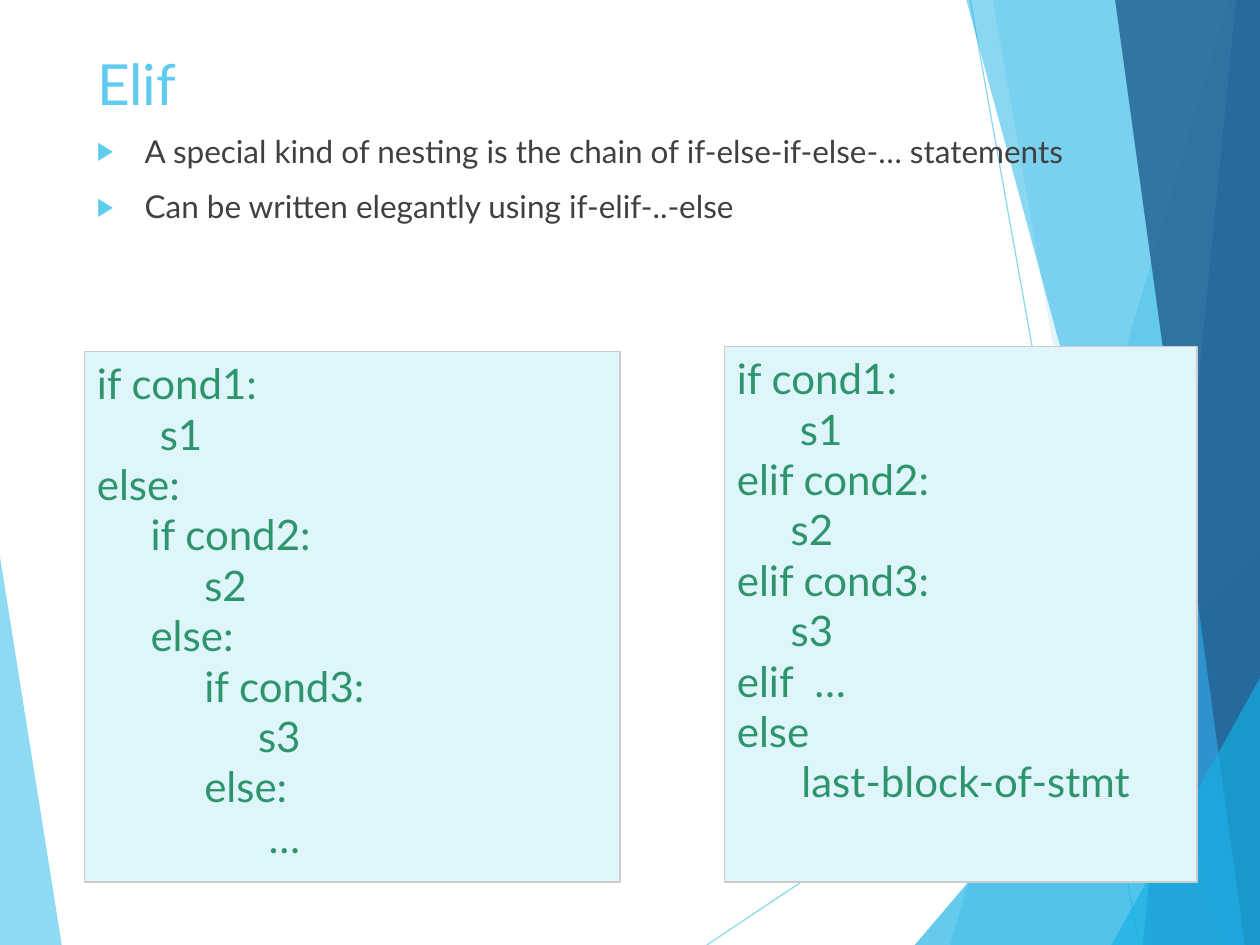
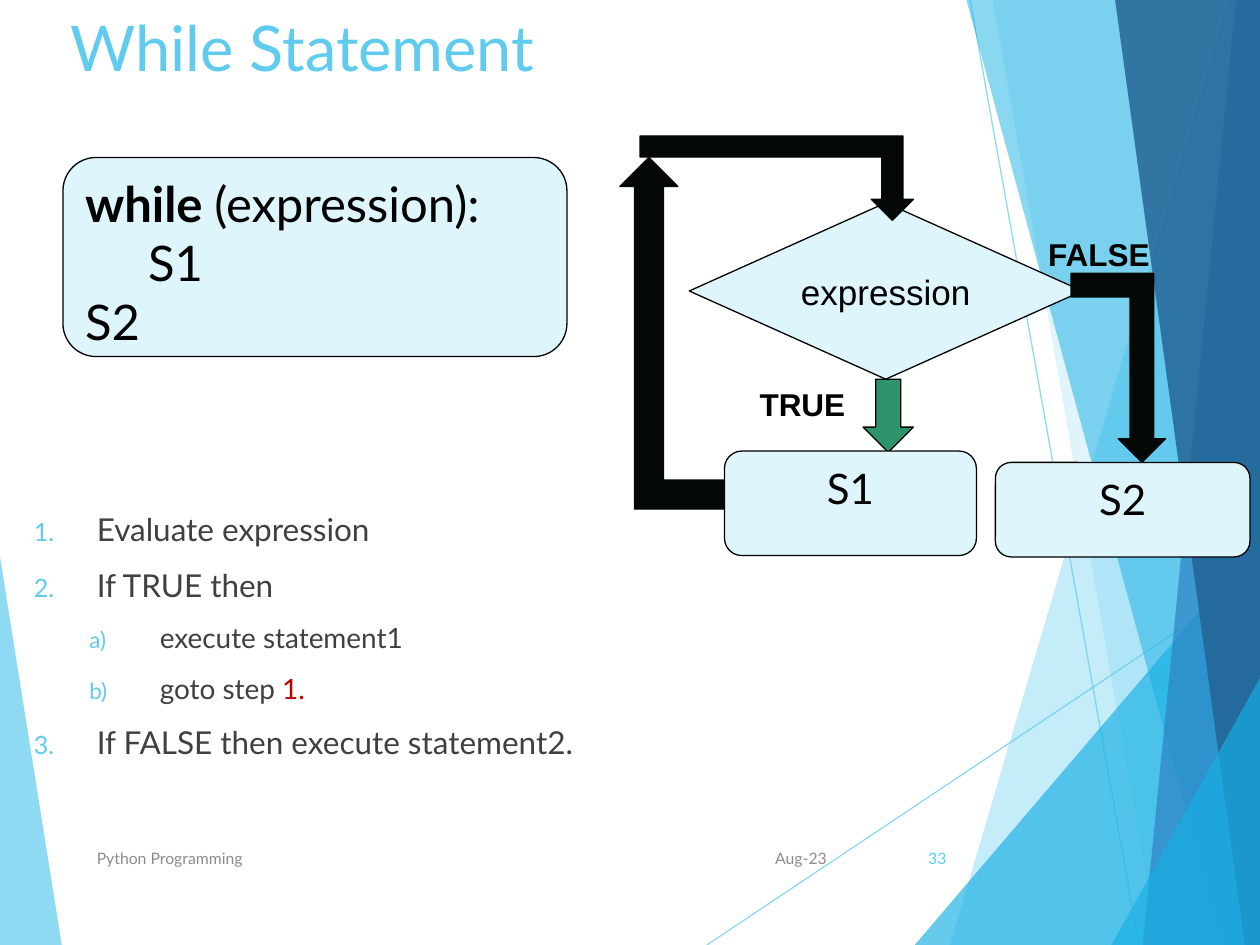
import pptx
import pptx.util
import pptx.dml.color
import pptx.enum.shapes
import pptx.enum.text
from lxml import etree
from pptx.util import Inches, Pt

SHAPE = pptx.enum.shapes.MSO_SHAPE
ALIGN = pptx.enum.text.PP_ALIGN
ANCHOR = pptx.enum.text.MSO_ANCHOR
NS = "http://schemas.openxmlformats.org/drawingml/2006/main"

SKY, CYAN, BLUE, NAVY = "5FCBEF", "17B0E4", "2E83C3", "226292"
PALE, GREEN, BLACK, ARROW = "DFF5FC", "2E946B", "000000", "030806"
TEXT, GREY, BORDER, RED = "404040", "8C8C8C", "CCCCCC", "C00000"

# Points of each facet, colour and opacity in percent
LEFT_FACET = ([(0, 4.42), (0.49, 7.5), (0, 7.5)], SKY, 70)
RIGHT_FACETS = [
    ([(9.75, 0), (7.54, 7.5), (10, 7.5), (10, 0)], SKY, 36),
    ([(7.88, 0), (9.19, 7.5), (10, 7.5), (10, 0)], SKY, 20),
    ([(7.26, 7.5), (10, 4.29), (10, 7.5)], CYAN, 66),
    ([(7.67, 0), (9.7, 7.5), (10, 7.5), (10, 0)], CYAN, 50),
    ([(9.81, 0), (9.07, 7.5), (10, 7.5), (10, 0)], BLUE, 70),
    ([(8.85, 0), (9.88, 7.5), (10, 7.5), (10, 0)], NAVY, 82),
    ([(8.82, 7.5), (10, 5.38), (10, 7.5)], CYAN, 66),
]
RAYS = [(5.61, 7.5, 10, 4.57), (7.7, 0, 9.04, 7.5)]


def rgb(color):
    return pptx.dml.color.RGBColor.from_string(color)


def add_xml(parent, tag, **attrs):
    return etree.SubElement(parent, f"{{{NS}}}{tag}", attrs)


def paint(fill, color):
    fill.solid()
    fill.fore_color.rgb = rgb(color)


def set_opacity(sp, percent):
    for clr in sp._element.spPr.iter(f"{{{NS}}}srgbClr"):
        add_xml(clr, "alpha", val=str(percent * 1000))


def set_font(font, color, **values):
    for name, value in {"name": "Lato", **values}.items():
        setattr(font, name, value)
    font.color.rgb = rgb(color)


def write(p, text, size, color=BLACK, **values):
    r = p.add_run()
    r.text = text
    set_font(r.font, color, size=Pt(size), **values)


def add_box(s, kind, box, fill, line=BLACK):
    sp = s.shapes.add_shape(kind, *map(Inches, box))
    sp.shadow.inherit = False
    paint(sp.fill, fill)
    paint(sp.line.fill, line)
    sp.line.width = Pt(0.75)
    tf = sp.text_frame
    tf.word_wrap = True
    tf.vertical_anchor = ANCHOR.TOP
    tf.paragraphs[0].alignment = ALIGN.LEFT
    return sp


def add_text(s, box, wrap=True, anchor=ANCHOR.TOP):
    tf = s.shapes.add_textbox(*map(Inches, box)).text_frame
    tf.word_wrap = wrap
    tf.vertical_anchor = anchor
    return tf


def paragraphs(tf, items):
    """Yield a paragraph of the frame for each item."""
    for i, item in enumerate(items):
        yield (tf.add_paragraph() if i else tf.paragraphs[0]), item


def add_facet(s, points, color, opacity):
    start, *rest = [(Inches(x), Inches(y)) for x, y in points]
    builder = s.shapes.build_freeform(*start)
    builder.add_line_segments(rest)
    sp = builder.convert_to_shape()
    sp.shadow.inherit = False
    paint(sp.fill, color)
    sp.line.fill.background()
    set_opacity(sp, opacity)
    return sp


def add_ray(s, ends):
    line = s.shapes.add_connector(pptx.enum.shapes.MSO_CONNECTOR.STRAIGHT,
                                  *map(Inches, ends))
    paint(line.line.fill, SKY)
    line.line.width = Pt(0.75)
    set_opacity(line, 70)
    add_xml(line._element.spPr, "effectLst")
    return line


def move_backdrop_to_layout(s):
    """Draw the facets and move them to the layout, which all slides share."""
    parts = [add_facet(s, *LEFT_FACET)]
    parts += [add_ray(s, ends) for ends in RAYS]
    parts += [add_facet(s, *facet) for facet in RIGHT_FACETS]
    for number, part in enumerate(parts, 100):
        part._element.xpath(".//p:cNvPr")[0].set("id", str(number))
        s.slide_layout.shapes._spTree.append(part._element)


def add_title(s, text, box, size):
    sp = s.shapes.title
    for name, value in zip(("left", "top", "width", "height"), box):
        setattr(sp, name, Inches(value))
    tf = sp.text_frame
    tf.auto_size = pptx.enum.text.MSO_AUTO_SIZE.NONE
    tf.vertical_anchor = ANCHOR.TOP
    p = tf.paragraphs[0]
    p.alignment = ALIGN.LEFT
    write(p, text, size, SKY)


def add_marker(p, indent, hanging, number=None):
    """Give a paragraph a triangle, or a number of the given style."""
    pPr = p._p.get_or_add_pPr()
    pPr.set("marL", str(Inches(indent)))
    pPr.set("indent", str(-Inches(hanging)))
    add_xml(add_xml(pPr, "buClr"), "srgbClr", val=SKY)
    add_xml(pPr, "buSzPct", val="80000")
    add_xml(pPr, "buFont", typeface="Lato" if number else "Arial")
    if number:
        add_xml(pPr, "buAutoNum", type=number)
    else:
        add_xml(pPr, "buChar", char="▶")


def add_bullets(s, box, lines):
    for p, line in paragraphs(add_text(s, box), lines):
        add_marker(p, 0.38, 0.38)
        p.space_before = Pt(10 if line != lines[0] else 0)
        write(p, line, 18, TEXT)


def add_steps(s, box, steps):
    """Number the steps; each is a level and (text, colour) parts."""
    styles = [(0.5, 0.5, "arabicPeriod"), (1, 0.56, "alphaLcParenR")]
    for p, (level, *parts) in paragraphs(add_text(s, box), steps):
        p.level = level
        add_marker(p, *styles[level])
        p.space_before = Pt(10 if p._p.getprevious().tag.endswith("}p") else 0)
        for text, color in parts:
            write(p, text, 18 - 2 * level, color)


def add_code(sp, lines, size, color):
    """Write lines of code, each a list of (text, bold) parts."""
    for p, parts in paragraphs(sp.text_frame, lines):
        p.alignment = ALIGN.LEFT
        tabs = add_xml(p._p.get_or_add_pPr(), "tabLst")
        add_xml(tabs, "tab", pos=str(Inches(0.5)), algn="l")
        for text, bold in parts:
            write(p, text, size, color, bold=bold)


def add_code_panel(s, box, code):
    lines = [[(line, False)] for line in code.split("\n")]
    add_code(add_box(s, SHAPE.RECTANGLE, box, PALE, BORDER), lines, 24, GREEN)


def add_flowchart(s, x, y):
    """Draw the loop with its top left corner at x, y."""
    def at(left, top, width, height):
        return x + left, y + top, width, height

    test = add_box(s, SHAPE.FLOWCHART_DECISION, at(0.55, 0.53, 3.12, 1.4), PALE)
    tf = test.text_frame
    tf.word_wrap = False
    tf.vertical_anchor = ANCHOR.MIDDLE
    tf.paragraphs[0].alignment = ALIGN.CENTER
    write(tf.paragraphs[0], "expression", 20, name="Arial")

    add_box(s, SHAPE.DOWN_ARROW, at(1.93, 1.93, 0.4, 0.58), GREEN)
    bent_arrows = [((0, 0.17, 0.92, 2.79), "flipH"),
                   ((0.16, 0, 2.17, 0.67), "flipV"),
                   ((3.58, 1.09, 0.75, 1.5), "flipV")]
    for box, flip in bent_arrows:
        arrow = add_box(s, SHAPE.BENT_UP_ARROW, at(*box), ARROW, ARROW)
        arrow._element.spPr.xfrm.set(flip, "1")

    for label, box in [("FALSE", (3.3, 0.74, 1.02, 0.4)),
                       ("TRUE", (1.01, 1.93, 0.89, 0.4))]:
        tf = add_text(s, at(*box), wrap=False)
        write(tf.paragraphs[0], label, 18, name="Arial", bold=True)

    for label, box in [("S1", (0.83, 2.5, 2, 0.83)),
                       ("S2", (2.98, 2.59, 2.02, 0.75))]:
        p = add_box(s, SHAPE.ROUNDED_RECTANGLE, at(*box), PALE).text_frame.paragraphs[0]
        p.alignment = ALIGN.CENTER
        write(p, label, 24)


def add_footer(s, date, text, number):
    for item, left, width, align, color in [
            (date, 5.91, 0.75, ALIGN.RIGHT, GREY),
            (text, 0.67, 5.06, ALIGN.LEFT, GREY),
            (number, 7.05, 0.56, ALIGN.RIGHT, SKY)]:
        tf = add_text(s, (left, 6.61, width, 0.4), anchor=ANCHOR.MIDDLE)
        p = tf.paragraphs[0]
        p.alignment = align
        write(p, item, 9, color)


ELIF_CODE = """if cond1:
\ts1
elif cond2:
     s2
elif cond3:
     s3
elif  …
else
      last-block-of-stmt"""

NESTED_CODE = """if cond1:
\ts1
else:
     if cond2:
          s2
     else:
          if cond3:
               s3
          else:
                …"""


def elif_slide(s):
    add_title(s, "Elif", (0.67, 0.34, 8.5, 0.67), 32.4)
    add_bullets(s, (0.67, 1, 8.75, 2), [
        "A special kind of nesting is the chain of if-else-if-else-… statements",
        "Can be written elegantly using if-elif-..-else"])
    add_code_panel(s, (5.75, 2.75, 3.75, 4.25), ELIF_CODE)
    add_code_panel(s, (0.67, 2.79, 4.25, 4.21), NESTED_CODE)


def while_slide(s):
    add_title(s, "While Statement", (0.46, 0.02, 8.5, 1.11), 36)
    add_steps(s, (0.17, 4, 9.75, 2.75), [
        (0, ("Evaluate expression", TEXT)),
        (0, ("If TRUE then", TEXT)),
        (1, ("execute statement1", TEXT)),
        (1, ("goto step ", TEXT), ("1.", RED)),
        (0, ("If FALSE then execute statement2.", TEXT))])
    add_footer(s, "Aug-23", "Python Programming", "33")
    syntax = add_box(s, SHAPE.ROUNDED_RECTANGLE, (0.5, 1.25, 4, 1.58), PALE)
    add_code(syntax, [[("while ", True), ("(expression):", False)],
                      [("\tS1", False)], [("S2", False)]], 28, BLACK)
    add_flowchart(s, 4.92, 1.08)


def main():
    prs = pptx.Presentation()
    prs.slide_width, prs.slide_height = Inches(10), Inches(7.5)
    title_only = prs.slide_layouts[5]
    slides = [prs.slides.add_slide(title_only) for _ in range(2)]
    move_backdrop_to_layout(slides[0])
    elif_slide(slides[0])
    while_slide(slides[1])
    prs.save("out.pptx")


if __name__ == "__main__":
    main()
